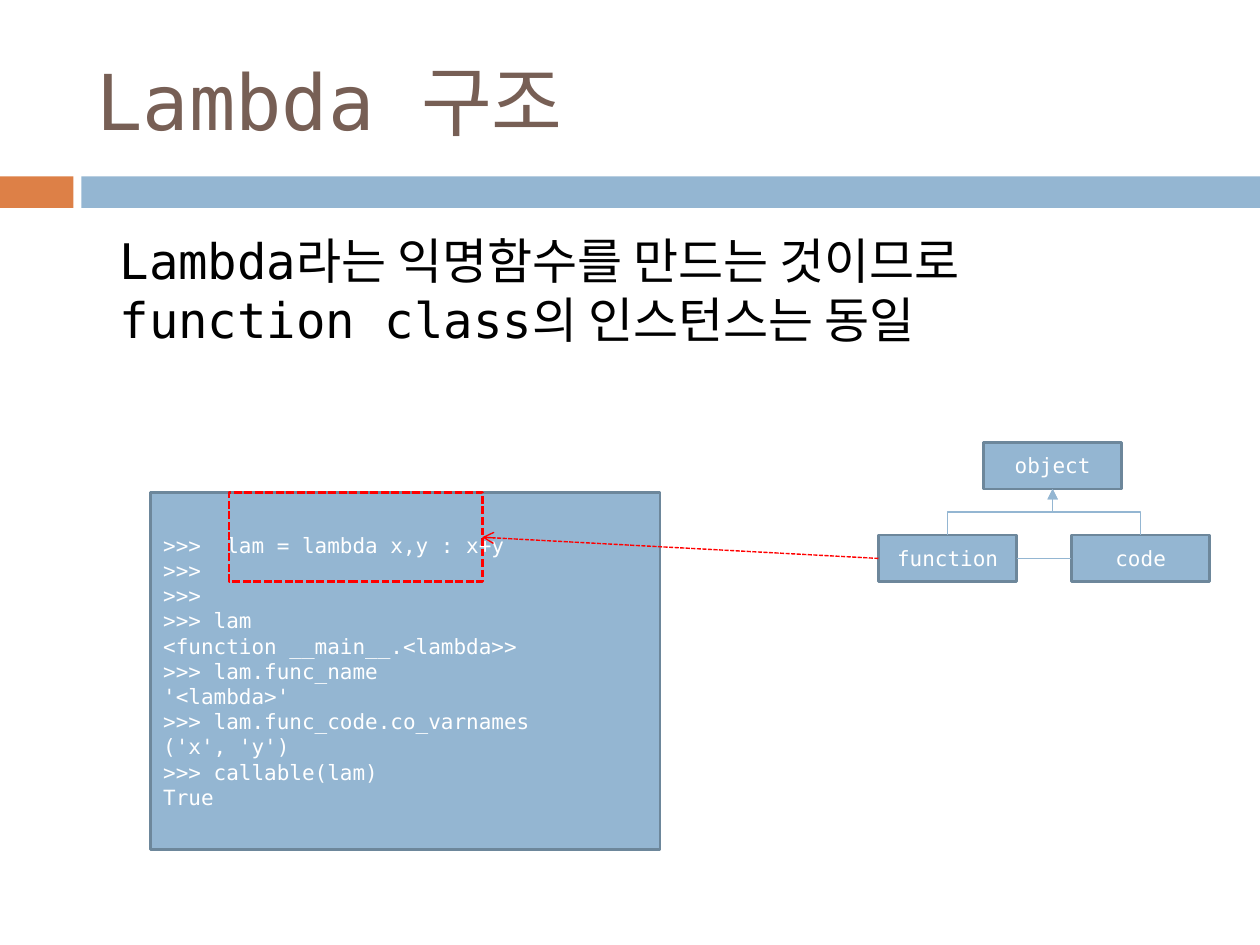
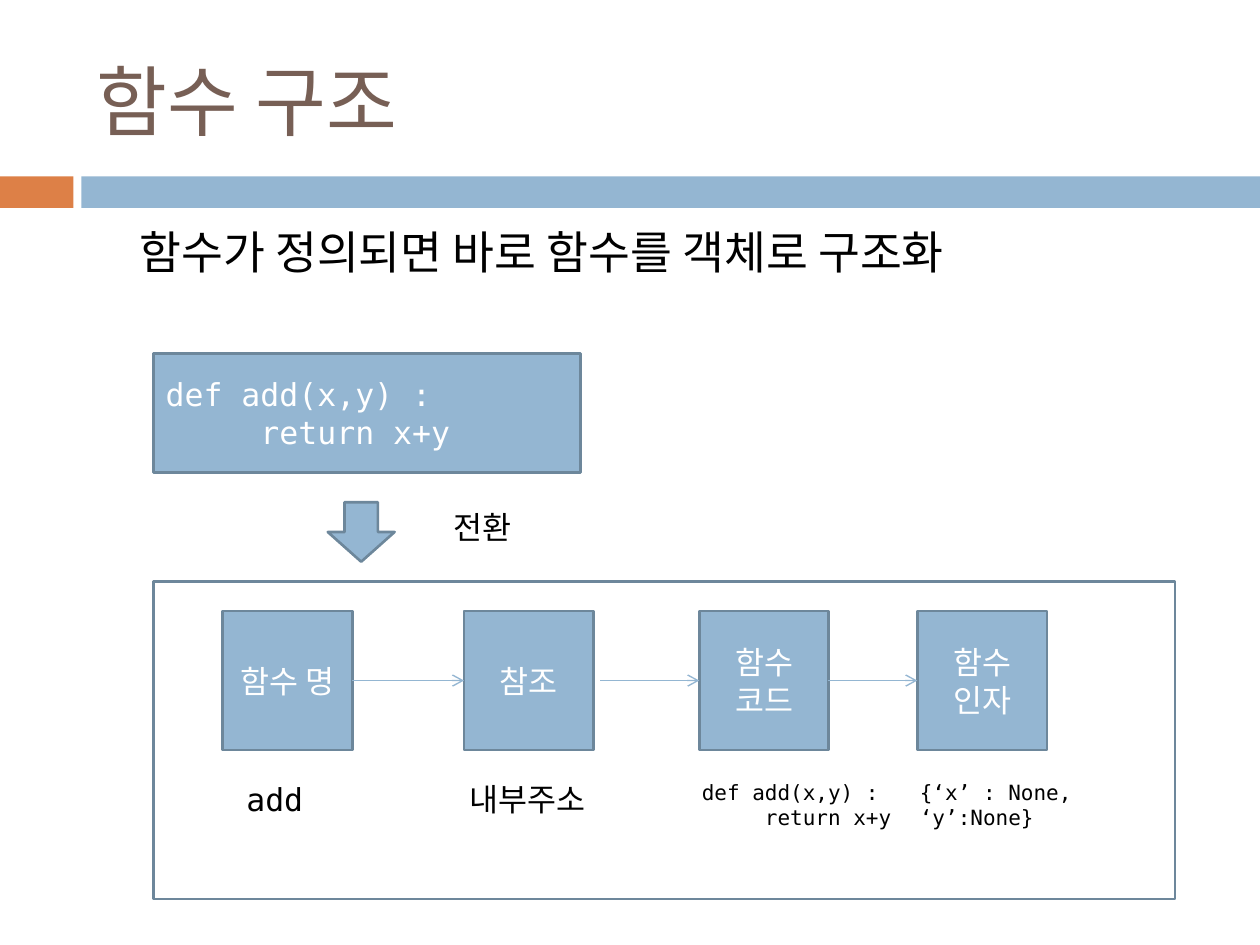
from lxml import etree
from pptx import Presentation
from pptx.dml.color import RGBColor
from pptx.enum.dml import MSO_LINE
from pptx.enum.shapes import MSO_CONNECTOR, MSO_SHAPE
from pptx.enum.text import MSO_ANCHOR, PP_ALIGN
from pptx.oxml.ns import qn
from pptx.util import Pt

RECT, DOWN_ARROW = MSO_SHAPE.RECTANGLE, MSO_SHAPE.DOWN_ARROW
STRAIGHT, ELBOW = MSO_CONNECTOR.STRAIGHT, MSO_CONNECTOR.ELBOW
LEFT, CENTER = PP_ALIGN.LEFT, PP_ALIGN.CENTER
TOP, MIDDLE = MSO_ANCHOR.TOP, MSO_ANCHOR.MIDDLE
DASH = MSO_LINE.SQUARE_DOT
FONT = "DejaVu Sans Mono"
COLORS = {
    "blue": "94B6D2", "edge": "6D879B", "orange": "DD8047", "title": "775F55",
    "red": "FF0000", "white": "FFFFFF", "black": "000000",
}


def add_box(slide, x, y, w, h, text="", kind=None, fill=None, edge=None, dash=None,
            size=18, color="black", align=LEFT, anchor=TOP, indent=0):
    """Add a preset shape, or a text box when no kind is given."""
    place = Pt(x), Pt(y), Pt(w), Pt(h)
    if kind is None:
        box = slide.shapes.add_textbox(*place)
    else:
        box = slide.shapes.add_shape(kind, *place)
        box.shadow.inherit = False
        if fill:
            box.fill.solid()
            box.fill.fore_color.rgb = RGBColor.from_string(COLORS[fill])
        else:
            box.fill.background()
        if edge:
            box.line.color.rgb = RGBColor.from_string(COLORS[edge])
            box.line.width = Pt(1.5)
            box.line.dash_style = dash
        else:
            box.line.fill.background()
    frame = box.text_frame
    frame.word_wrap = True
    frame.vertical_anchor = anchor
    frame.margin_left = Pt(7.2 + indent)
    for i, row in enumerate(text.split("\n") if text else []):
        paragraph = frame.add_paragraph() if i else frame.paragraphs[0]
        paragraph.alignment = align
        run = paragraph.add_run()
        run.text = row
        run.font.name, run.font.size = FONT, Pt(size)
        run.font.color.rgb = RGBColor.from_string(COLORS[color])


def add_line(slide, x1, y1, x2, y2, color="blue", head=None, kind=STRAIGHT, dash=None):
    """Add a connector; an elbow leaves its start vertically."""
    if kind == ELBOW:
        cx, cy, dx, dy = (x1 + x2) / 2, (y1 + y2) / 2, x2 - x1, y1 - y2
        x1, y1, x2, y2 = cx - dy / 2, cy - dx / 2, cx + dy / 2, cy + dx / 2
    link = slide.shapes.add_connector(kind, Pt(x1), Pt(y1), Pt(x2), Pt(y2))
    link.line.color.rgb = RGBColor.from_string(COLORS[color])
    link.line.width = Pt(0.79)
    link.line.dash_style = dash
    properties = link._element.spPr
    if kind == ELBOW:
        properties.find(qn("a:xfrm")).set("rot", str(270 * 60000))
    if head:
        etree.SubElement(properties.find(qn("a:ln")), qn("a:tailEnd"), type=head)
    etree.SubElement(properties, qn("a:effectLst"))


prs = Presentation()
prs.slide_width, prs.slide_height = Pt(720), Pt(540)
BLUE_BOX = dict(kind=RECT, fill="blue", edge="edge", color="white", anchor=MIDDLE)

# Title and bands on every slide
slides = []
for title in ("Lambda 구조", "함수 구조"):
    slide = prs.slides.add_slide(prs.slide_layouts[6])
    add_box(slide, 0, 100.8, 42, 18, kind=RECT, fill="orange")
    add_box(slide, 46.5, 100.8, 673.5, 18, kind=RECT, fill="blue")
    add_box(slide, 48, 18, 642, 78, title, size=44, color="title", anchor=MIDDLE)
    slides.append(slide)
lambda_slide, function_slide = slides

# Lambda: statement and console session
add_box(lambda_slide, 36, 128, 648, 102,
        "Lambda라는 익명함수를 만드는 것이므로 function class의 인스턴스는 동일",
        size=28, indent=25.2)
session = """>>>  lam = lambda x,y : x+y
>>>
>>>
>>> lam
<function __main__.<lambda>>
>>> lam.func_name
'<lambda>'
>>> lam.func_code.co_varnames
('x', 'y')
>>> callable(lam)
True"""
add_box(lambda_slide, 86.2, 281.4, 291, 204, session, size=12, **BLUE_BOX)

# Lambda: class tree
class_w, class_h = 79, 26.6
object_x, object_y, child_y = 562, 252.8, 305.8
function_x, code_x = 502, 612.3
for name, x, y in (("object", object_x, object_y), ("function", function_x, child_y),
                   ("code", code_x, child_y)):
    add_box(lambda_slide, x, y, class_w, class_h, name, size=12, align=CENTER, **BLUE_BOX)
for x in (function_x, code_x):
    add_line(lambda_slide, x + class_w / 2, child_y, object_x + class_w / 2,
             object_y + class_h, head="triangle", kind=ELBOW)
child_mid = child_y + class_h / 2
add_line(lambda_slide, function_x + class_w, child_mid, code_x, child_mid)

# Lambda: marked expression
add_line(lambda_slide, function_x, child_mid, 275.5, 307, color="red", head="arrow", dash=DASH)
add_box(lambda_slide, 130.8, 281.4, 145, 51, kind=RECT, edge="red", dash=DASH)

# Function: statement, definition and conversion arrow
add_box(function_slide, 36.5, 124.6, 648, 89, "함수가 정의되면 바로 함수를 객체로 구조화",
        size=26, indent=36)
definition = "def add(x,y) :\n     return x+y"
add_box(function_slide, 87.6, 202, 244.3, 68, definition, **BLUE_BOX)
add_box(function_slide, 187.3, 287, 38.2, 34, kind=DOWN_ARROW, fill="blue", edge="edge")
add_box(function_slide, 252, 287, 91, 29, "전환")

# Function: object structure
add_box(function_slide, 87.6, 332.4, 584, 181.4, kind=RECT, edge="edge")
part_y, part_w, part_h = 349.2, 74, 79.4
parts = (("함수 명", 127.3), ("참조", 265.2), ("함수 코드", 399.6), ("함수\n인자", 524.2))
for name, x in parts:
    add_box(function_slide, x, part_y, part_w, part_h, name, align=CENTER, **BLUE_BOX)
arrow_y = part_y + part_h / 2
for start, end in ((201.3, 265.2), (343, 399.6), (473, 524.2)):
    add_line(function_slide, start, arrow_y, end, arrow_y, head="arrow")

# Function: value under each part
for value, x, w, size, align in (
        ("add", 116, 82, 18, CENTER), ("내부주소", 252, 98.6, 18, CENTER),
        (definition, 394, 136, 12, LEFT), ("{‘x’ : None, ‘y’:None}", 518.6, 136, 12, LEFT)):
    add_box(function_slide, x, 442, w, 29, value, size=size, align=align)

prs.save("out.pptx")
